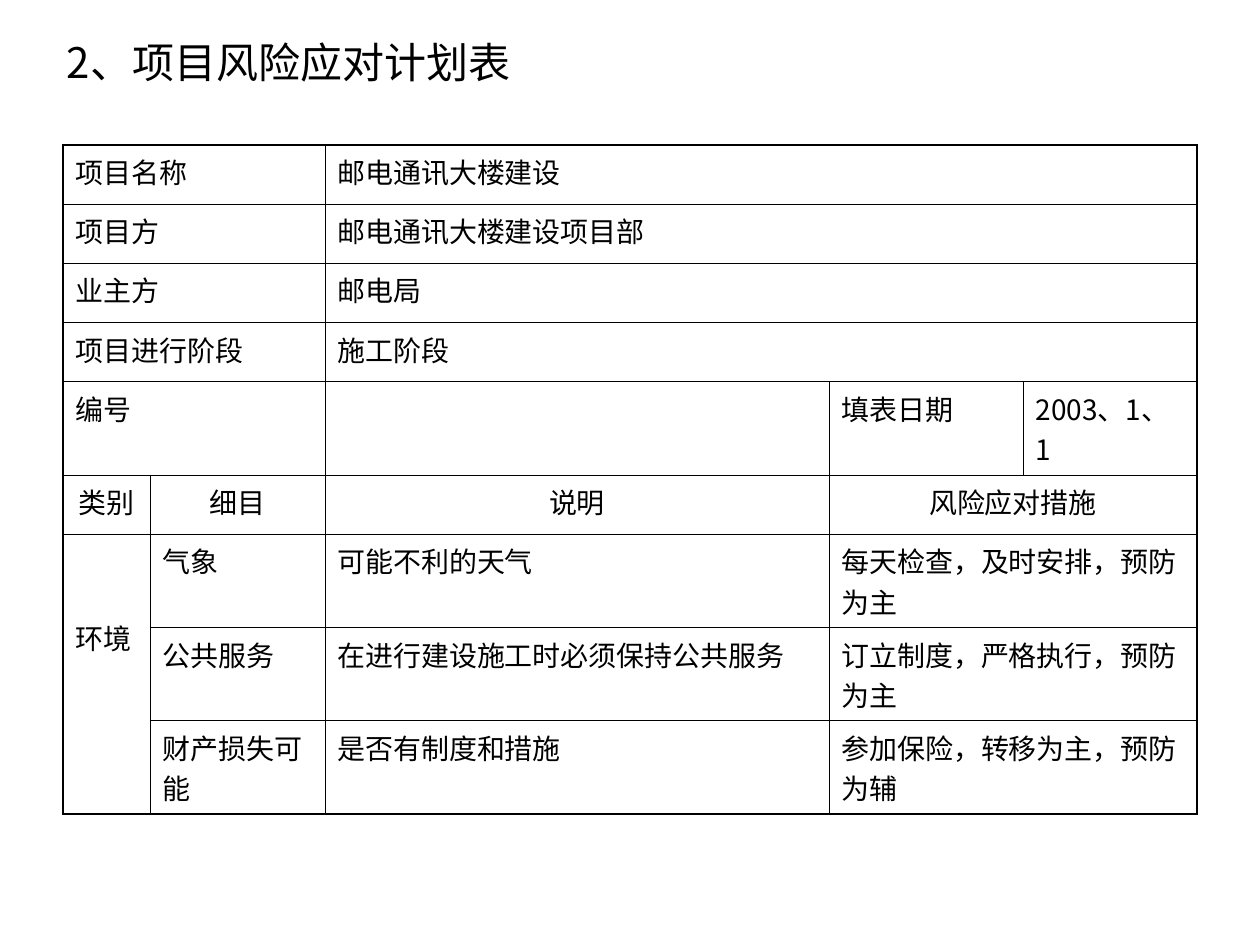
from lxml import etree
from pptx import Presentation
from pptx import util as u
from pptx.dml.color import RGBColor
from pptx.enum import text
from pptx.oxml.ns import qn

COLORS = {"ink": "000000", "paper": "FFFFFF"}
FONT = "Noto Sans CJK SC"
THIN, THICK = 0.45, 1.08

COLUMNS = [0.69, 1.39, 4, 1.54, 1.38]
ROWS = [0.47] * 4 + [0.73, 0.47] + [0.73] * 3

PROJECT = [
    ("项目名称", "邮电通讯大楼建设"),
    ("项目方", "邮电通讯大楼建设项目部"),
    ("业主方", "邮电局"),
    ("项目进行阶段", "施工阶段"),
]
RISKS = [
    ("气象", "可能不利的天气", "每天检查，及时安排，预防为主"),
    ("公共服务", "在进行建设施工时必须保持公共服务", "订立制度，严格执行，预防为主"),
    ("财产损失可能", "是否有制度和措施", "参加保险，转移为主，预防为辅"),
]


class SlideBuilder:
    def __init__(self, slide):
        self.slide = slide

    def style(self, paragraph, size, align=text.PP_ALIGN.LEFT):
        paragraph.alignment = align
        for run in paragraph.runs:
            run.font.size = u.Pt(size)
            run.font.name = FONT
            run.font.color.rgb = RGBColor.from_string(COLORS["ink"])
            east_asian = etree.SubElement(run.font._element, qn("a:ea"))
            east_asian.set("typeface", FONT)

    def title(self, words, left, top, width, height):
        shape = self.slide.shapes.title
        shape.left, shape.top = u.Inches(left), u.Inches(top)
        shape.width, shape.height = u.Inches(width), u.Inches(height)
        frame = shape.text_frame
        frame.text = words
        frame.auto_size = text.MSO_AUTO_SIZE.NONE
        frame.vertical_anchor = text.MSO_ANCHOR.TOP
        frame.margin_top = 0
        self.style(frame.paragraphs[0], 24)

    def table(self, left, top):
        shape = self.slide.shapes.add_table(
            len(ROWS), len(COLUMNS), u.Inches(left), u.Inches(top),
            u.Inches(sum(COLUMNS)), u.Inches(sum(ROWS)))
        table = shape.table
        table.first_row = table.horz_banding = False
        for column, width in zip(table.columns, COLUMNS):
            column.width = u.Inches(width)
        for row, height in zip(table.rows, ROWS):
            row.height = u.Inches(height)
        return table

    def cell(self, table, row, column, words, down=1, across=1,
             align=text.PP_ALIGN.LEFT, margin_top=0.05):
        cell = table.cell(row, column)
        end_row, end_column = row + down, column + across
        if down * across > 1:
            cell.merge(table.cell(end_row - 1, end_column - 1))
        cell.text_frame.text = words
        cell.margin_top = u.Inches(margin_top)
        self.style(cell.text_frame.paragraphs[0], 16, align)
        # Edges on the outside of the table are heavier
        self.borders(cell, {
            "a:lnL": column == 0,
            "a:lnR": end_column == len(COLUMNS),
            "a:lnT": row == 0,
            "a:lnB": end_row == len(ROWS),
        })
        cell.fill.solid()
        cell.fill.fore_color.rgb = RGBColor.from_string(COLORS["paper"])

    def borders(self, cell, edges):
        properties = cell._tc.get_or_add_tcPr()
        for tag, is_outer in edges.items():
            line = etree.SubElement(properties, qn(tag))
            line.set("w", str(int(u.Pt(THICK if is_outer else THIN))))
            fill = etree.SubElement(line, qn("a:solidFill"))
            etree.SubElement(fill, qn("a:srgbClr")).set("val", COLORS["ink"])


def main():
    presentation = Presentation()
    presentation.slide_width = u.Inches(10)
    presentation.slide_height = u.Inches(7.5)
    builder = SlideBuilder(
        presentation.slides.add_slide(presentation.slide_layouts[5]))

    builder.title("2、项目风险应对计划表", 0.43, 0.29, 9.21, 0.75)
    table = builder.table(0.5, 1.15)

    # Project details
    for row, (label, value) in enumerate(PROJECT):
        builder.cell(table, row, 0, label, across=2)
        builder.cell(table, row, 2, value, across=3)

    # Number and date
    builder.cell(table, 4, 0, "编号", across=2)
    for column, words in enumerate(["", "填表日期", "2003、1、1"], start=2):
        builder.cell(table, 4, column, words)

    # Risk headings
    for column, words in enumerate(["类别", "细目", "说明", "风险应对措施"]):
        builder.cell(table, 5, column, words, across=2 if column == 3 else 1,
                     align=text.PP_ALIGN.CENTER)

    # Risks and responses
    builder.cell(table, 6, 0, "环境", down=len(RISKS), margin_top=0.66)
    for row, (item, description, response) in enumerate(RISKS, start=6):
        builder.cell(table, row, 1, item)
        builder.cell(table, row, 2, description)
        builder.cell(table, row, 3, response, across=2)

    presentation.save("out.pptx")


if __name__ == "__main__":
    main()
